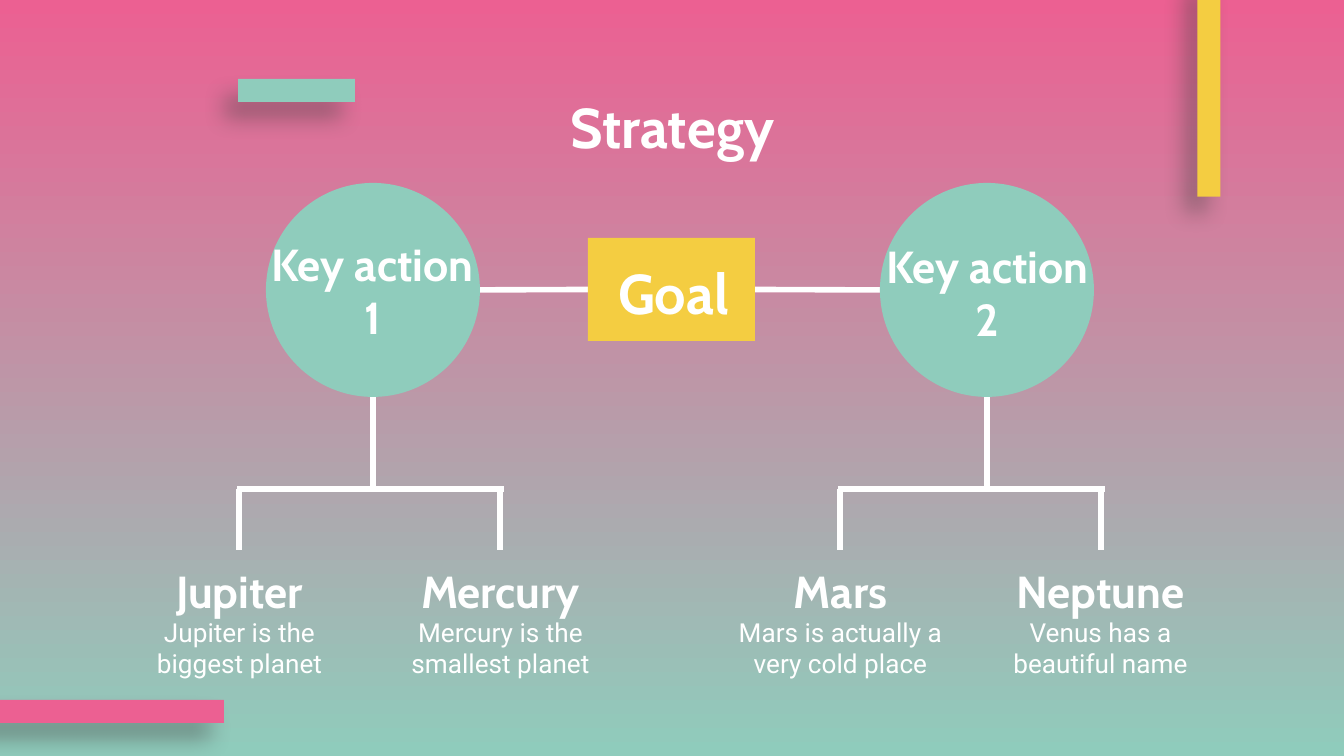
import pptx
import pptx.dml.color
import pptx.enum.shapes
import pptx.enum.text
import pptx.oxml
import pptx.oxml.ns
import pptx.util
from lxml import etree

PX = 914400 / 134.4
PINK, GREEN, YELLOW, WHITE = "EC6092", "8FCCBC", "F4CD41", "FFFFFF"
RECTANGLE = pptx.enum.shapes.MSO_SHAPE.RECTANGLE
OVAL = pptx.enum.shapes.MSO_SHAPE.OVAL
SHADOW = (
    f'<a:outerShdw {pptx.oxml.ns.nsdecls("a")} blurRad="157480" dist="142240" '
    'dir="7740000" algn="bl" rotWithShape="0">'
    '<a:srgbClr val="434343"><a:alpha val="43000"/></a:srgbClr></a:outerShdw>'
)


def px(*lengths):
    """Turn pixel lengths into EMU."""
    return [pptx.util.Emu(round(length * PX)) for length in lengths]


def color(value):
    return pptx.dml.color.RGBColor.from_string(value)


class SlideBuilder:
    heading_font = "Cabin"
    body_font = "Roboto"
    line_width = pptx.util.Pt(3)

    def __init__(self, slide):
        self.slide = slide

    def background(self, top, bottom):
        fill = self.slide.background.fill
        fill.gradient()
        fill.gradient_angle = 270
        for stop, value in zip(fill.gradient_stops, (top, bottom)):
            stop.color.rgb = color(value)

    def shape(self, kind, x, y, width, height, fill):
        shape = self.slide.shapes.add_shape(kind, *px(x, y, width, height))
        shape.shadow.inherit = False
        shape.fill.solid()
        shape.fill.fore_color.rgb = color(fill)
        shape.line.fill.background()
        return shape

    def shadowed_bar(self, x, y, width, height, fill, rotation=0):
        bar = self.shape(RECTANGLE, x, y, width, height, fill)
        bar.rotation = rotation
        effects = bar.element.spPr.find(pptx.oxml.ns.qn("a:effectLst"))
        effects.append(pptx.oxml.parse_xml(SHADOW))

    def line(self, x1, y1, x2, y2, parent=None):
        shapes = (parent or self.slide).shapes
        connector = shapes.add_connector(
            pptx.enum.shapes.MSO_CONNECTOR.STRAIGHT, *px(x1, y1, x2, y2))
        connector.line.color.rgb = color(WHITE)
        connector.line.width = self.line_width
        etree.SubElement(connector.element.spPr, pptx.oxml.ns.qn("a:effectLst"))
        return connector

    def text(self, text, x, y, width, height, size, font, bold):
        box = self.slide.shapes.add_textbox(*px(x, y, width, height))
        frame = box.text_frame
        frame.word_wrap = True
        frame.margin_left = frame.margin_right = pptx.util.Inches(0.1)
        frame.margin_top = frame.margin_bottom = pptx.util.Inches(0.1)
        frame.text = text
        paragraph = frame.paragraphs[0]
        paragraph.alignment = pptx.enum.text.PP_ALIGN.CENTER
        run_font = paragraph.runs[0].font
        run_font.size = pptx.util.Pt(size)
        run_font.name = font
        run_font.bold = bold
        run_font.color.rgb = color(WHITE)

    def heading(self, text, x, y, width, height, size=24):
        self.text(text, x, y, width, height, size, self.heading_font, True)

    def body(self, text, x, y, width, height):
        self.text(text, x, y, width, height, 14, self.body_font, False)

    def branches(self, trunk, left):
        """Draw a trunk below a circle, splitting into two stems."""
        group = self.slide.shapes.add_group_shape()
        self.line(trunk, 397, trunk, 489, group)
        self.line(left, 489, left + 267, 489, group)
        for stem in (left + 2, left + 263):
            self.line(stem, 550, stem, 489, group)


def main():
    presentation = pptx.Presentation()
    presentation.slide_width, presentation.slide_height = px(1344, 756)
    slide = presentation.slides.add_slide(presentation.slide_layouts[6])
    builder = SlideBuilder(slide)
    builder.background(PINK, GREEN)

    left_link = builder.line(588, 290, 452, 290)
    right_link = builder.line(755, 290, 887, 290)
    for circle_x in (266, 880):
        builder.shape(OVAL, circle_x, 183, 214, 214, GREEN)

    builder.heading("Strategy", 106, 79, 1133, 70, 30)
    planets = [
        (109, 20, "Jupiter", "Jupiter is the biggest planet"),
        (370, 0, "Mercury", "Mercury is the smallest planet"),
        (710, 0, "Mars", "Mars is actually a very cold place"),
        (970, 0, "Neptune", "Venus has a beautiful name"),
    ]
    for x, inset, name, description in planets:
        builder.heading(name, x, 550, 261, 52)
        builder.body(description, x + inset, 603, 261 - 2 * inset, 80)

    builder.shadowed_bar(1097, 73, 224, 23, YELLOW, rotation=270)
    builder.shadowed_bar(238, 79, 117, 23, GREEN)
    builder.shadowed_bar(-50, 700, 274, 23, PINK)

    goal = builder.shape(RECTANGLE, 588, 238, 167, 103, YELLOW)
    left_link.begin_connect(goal, 1)
    right_link.begin_connect(goal, 3)
    builder.heading("Goal", 543, 245, 261, 91, 30)
    builder.heading("Key action 1", 253, 223, 239, 116)
    builder.heading("Key action 2", 868, 225, 239, 116)

    builder.branches(trunk=373, left=237)
    builder.branches(trunk=987, left=838)
    presentation.save("out.pptx")


if __name__ == "__main__":
    main()
